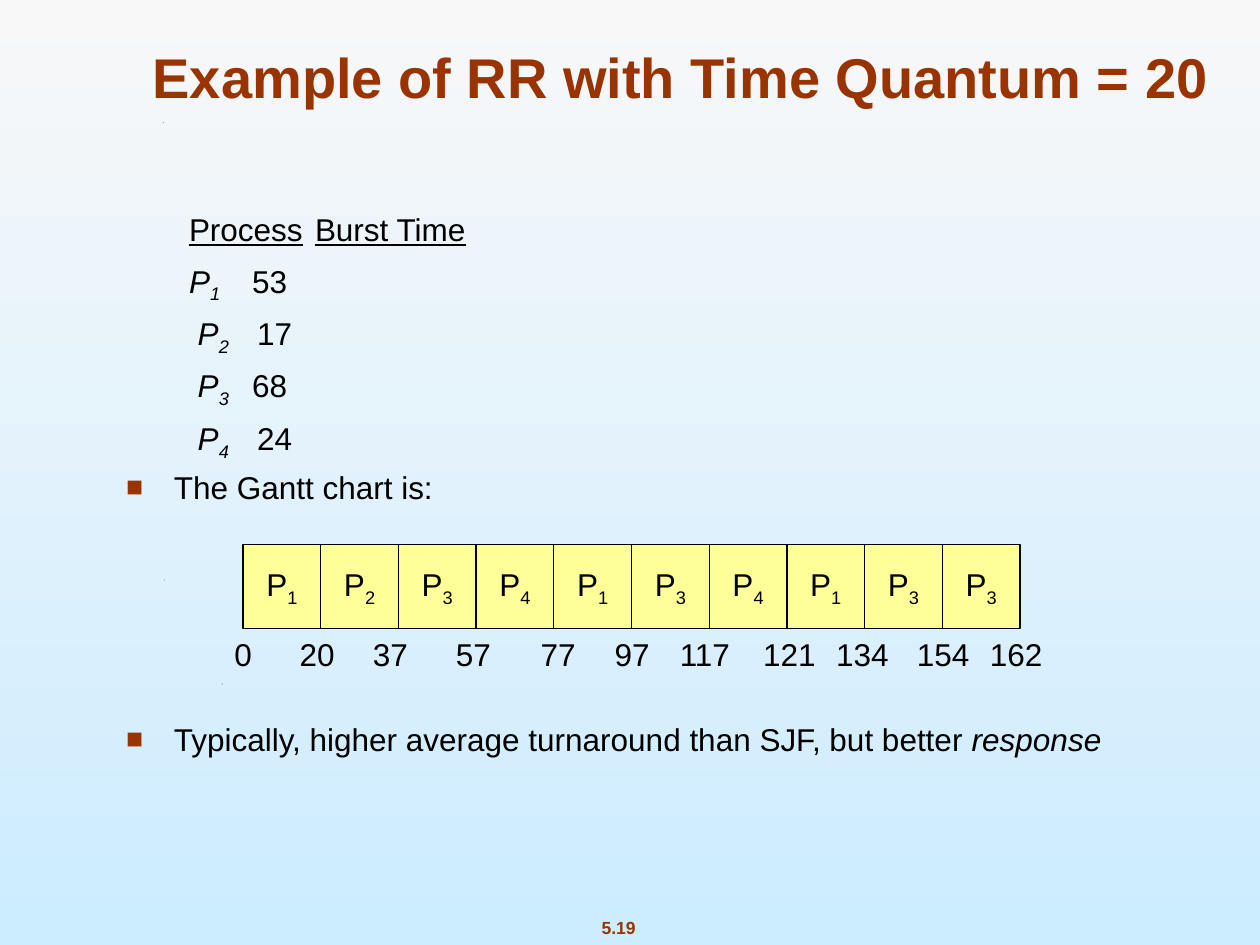
from lxml import etree
from pptx import Presentation
from pptx.dml.color import RGBColor
from pptx.enum import shapes, text
from pptx.oxml import ns
from pptx.util import Pt

COLORS = {
    "top": "F8F8F8",
    "bottom": "CCECFF",
    "accent": "993300",
    "cell": "FFFF99",
    "ink": "000000",
}
FONT = "Arial"
INDENT = 27.36
TABS = (99.4, 171.4)

# Each run is (text, style): u underlined, i italic, s subscript
BURST_ROWS = [
    [("\t", ""), ("Process", "u"), ("\t", ""), ("Burst Time", "u")],
    [("\tP", "i"), ("1\t", "is"), ("53", "")],
    [("\t ", ""), ("P", "i"), ("2\t ", "is"), ("17", "")],
    [("\t ", ""), ("P", "i"), ("3\t", "is"), ("68", "")],
    [("\t ", ""), ("P", "i"), ("4\t ", "is"), ("24", "")],
]
# Each bullet is (space before, runs)
BULLETS = [
    (7.9, [("The Gantt chart is:", "")]),
    (124.5, [("Typically, higher average turnaround than SJF, but better ", ""),
             ("response", "i")]),
]
GANTT_ORDER = "1234134133"
# Time and the centre of its label, from the left of the chart
GANTT_TIMES = [(0, 0), (20, 42.4), (37, 84.2), (57, 131.7), (77, 180), (97, 222.4),
               (117, 263.9), (121, 312.2), (134, 353.9), (154, 400), (162, 441.8)]


def rgb(name):
    return RGBColor.from_string(COLORS[name])


def format_font(font, size, color, bold=False):
    font.name = FONT
    font.size = Pt(size)
    font.bold = bold
    font.color.rgb = rgb(color)


def add_runs(paragraph, runs):
    for content, style in runs:
        run = paragraph.add_run()
        run.text = content
        format_font(run.font, 18, "ink")
        run.font.italic = "i" in style
        run.font.underline = "u" in style
        if "s" in style:
            run._r.get_or_add_rPr().set("baseline", "-25000")


def set_indent(paragraph, margin, first_line):
    properties = paragraph._p.get_or_add_pPr()
    properties.set("marL", str(Pt(margin)))
    properties.set("indent", str(Pt(first_line)))


def add_property(paragraph, tag, **attributes):
    properties = paragraph._p.get_or_add_pPr()
    return etree.SubElement(properties, ns.qn(tag), attributes)


def place(shape, box):
    shape.left, shape.top, shape.width, shape.height = (Pt(value) for value in box)


def add_label(parent, box, content, size, color, bold=False):
    shape = parent.add_textbox(*(Pt(value) for value in box))
    frame = shape.text_frame
    frame.text = content
    frame.word_wrap = False
    frame.vertical_anchor = text.MSO_ANCHOR.MIDDLE
    paragraph = frame.paragraphs[0]
    paragraph.alignment = text.PP_ALIGN.CENTER
    format_font(paragraph.runs[0].font, size, color, bold)


def fill_background(slide):
    fill = slide.background.fill
    fill.gradient()
    fill.gradient_angle = 270
    for stop, position, name in zip(fill.gradient_stops, (0, 1), ("top", "bottom")):
        stop.position = position
        stop.color.rgb = rgb(name)


def add_specks(slide, points):
    for left, top in points:
        builder = slide.shapes.build_freeform(Pt(left), Pt(top + 0.5))
        builder.add_line_segments([(Pt(left + 0.7), Pt(top)),
                                   (Pt(left + 0.3), Pt(top + 0.5))])
        speck = builder.convert_to_shape()
        speck.shadow.inherit = False
        speck.fill.solid()
        speck.fill.fore_color.rgb = rgb("ink")
        speck.line.fill.background()


def fill_title(slide, box):
    title = slide.shapes.title
    place(title, box)
    frame = title.text_frame
    frame.text = "Example of RR with Time Quantum = 20"
    frame.auto_size = text.MSO_AUTO_SIZE.NONE
    frame.vertical_anchor = text.MSO_ANCHOR.BOTTOM
    paragraph = frame.paragraphs[0]
    paragraph.alignment = text.PP_ALIGN.CENTER
    format_font(paragraph.runs[0].font, 32, "accent", bold=True)


def format_burst_row(paragraph):
    set_indent(paragraph, 0, 0)
    add_property(paragraph, "a:buNone")
    tab_list = add_property(paragraph, "a:tabLst")
    for position in TABS:
        etree.SubElement(tab_list, ns.qn("a:tab"), pos=str(Pt(position)), algn="l")


def format_bullet(paragraph):
    set_indent(paragraph, INDENT, -INDENT)
    color = add_property(paragraph, "a:buClr")
    etree.SubElement(color, ns.qn("a:srgbClr"), val=COLORS["accent"])
    add_property(paragraph, "a:buSzPct", val="90000")
    add_property(paragraph, "a:buFont", typeface=FONT)
    add_property(paragraph, "a:buChar", char="■")


def fill_body(slide, box):
    body = slide.placeholders[1]
    place(body, box)
    frame = body.text_frame
    frame.auto_size = text.MSO_AUTO_SIZE.NONE
    items = [(7.9, runs, format_burst_row) for runs in BURST_ROWS]
    items += [(space, runs, format_bullet) for space, runs in BULLETS]
    for index, (space, runs, format_item) in enumerate(items):
        paragraph = frame.add_paragraph() if index else frame.paragraphs[0]
        paragraph.line_spacing = 0.9
        paragraph.space_before = Pt(space)
        format_item(paragraph)
        add_runs(paragraph, runs)


def add_gantt_chart(slide, box):
    left, top, width, height = box
    group = slide.shapes.add_group_shape().shapes
    cell_width = width / len(GANTT_ORDER)

    # Process cells
    for index, process in enumerate(GANTT_ORDER):
        cell = group.add_shape(shapes.MSO_SHAPE.RECTANGLE, Pt(left + index * cell_width),
                               Pt(top), Pt(cell_width), Pt(height))
        cell.shadow.inherit = False
        cell.fill.solid()
        cell.fill.fore_color.rgb = rgb("cell")
        cell.line.color.rgb = rgb("ink")
        cell.line.width = Pt(0.75)
        frame = cell.text_frame
        frame.word_wrap = False
        frame.vertical_anchor = text.MSO_ANCHOR.MIDDLE
        paragraph = frame.paragraphs[0]
        paragraph.alignment = text.PP_ALIGN.CENTER
        add_runs(paragraph, [("P", ""), (process, "s")])

    # Time labels
    for time, center in GANTT_TIMES:
        label_width = 14.4 + 10 * len(str(time))
        add_label(group, (left + center - label_width / 2, top + height, label_width, 28.8),
                  str(time), 18, "ink")


def main():
    presentation = Presentation()
    presentation.slide_width, presentation.slide_height = Pt(720), Pt(540)
    slide = presentation.slides.add_slide(presentation.slide_layouts[1])
    fill_background(slide)
    add_label(slide.shapes, (318.2, 520.6, 70.6, 19.4), "5.19", 10, "accent", bold=True)
    add_specks(slide, [(126.7, 390.6), (93.6, 331.2), (92.9, 69.8)])
    fill_title(slide, (72, 0, 634.3, 66.2))
    fill_body(slide, (64.8, 118.8, 578.9, 352.8))
    add_gantt_chart(slide, (138.9, 311, 444, 48.2))
    presentation.save("out.pptx")


if __name__ == "__main__":
    main()
